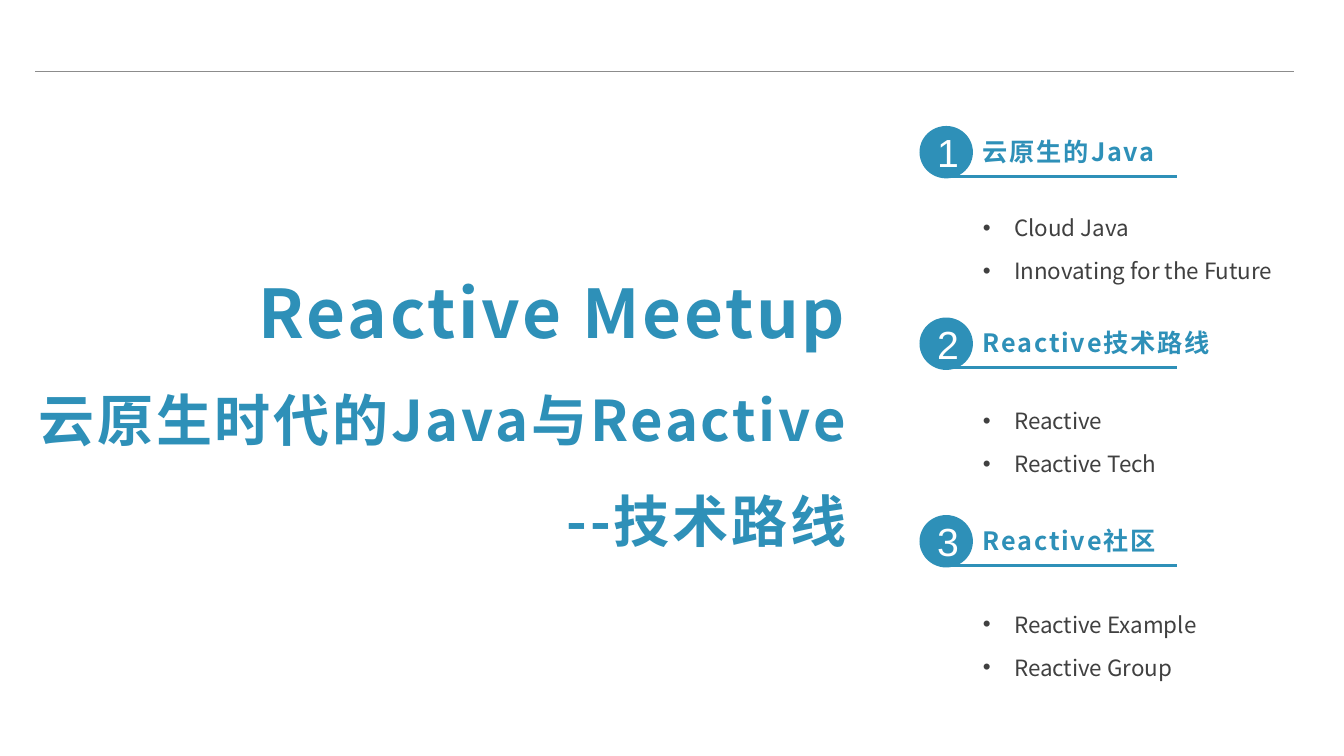
from dataclasses import dataclass

from lxml.etree import SubElement
from pptx import Presentation
from pptx.dml.color import RGBColor
from pptx.enum.shapes import MSO_CONNECTOR, MSO_SHAPE
from pptx.enum.text import MSO_ANCHOR, PP_ALIGN
from pptx.oxml.ns import qn
from pptx.slide import Slide
from pptx.text.text import TextFrame, _Paragraph
from pptx.util import Inches, Pt

COLORS = {"blue": "2E90B8", "text": "404040", "rule": "8C8C8C", "white": "FFFFFF"}
CJK_FONT = "Noto Sans CJK SC"


@dataclass
class TextStyle:
    size: float
    color: str
    font: str = CJK_FONT
    bold: bool = False
    spacing: float = 0
    align: PP_ALIGN = PP_ALIGN.LEFT
    line_spacing: float = 1.0


@dataclass
class Section:
    number: int
    top: float
    heading: str
    heading_width: float
    items: list[str]
    items_top: float


NUMBER = TextStyle(28, "white", font="Arial", align=PP_ALIGN.CENTER)
HEADING = TextStyle(18, "blue", bold=True, spacing=1.3)
ITEM = TextStyle(16, "text", line_spacing=1.6)
TITLE = TextStyle(48, "blue", bold=True, spacing=2,
                  align=PP_ALIGN.RIGHT, line_spacing=1.5)
SUBTITLE = TextStyle(40, "blue", bold=True, spacing=2,
                     align=PP_ALIGN.RIGHT, line_spacing=1.5)

TITLE_LINES = [
    ("Reactive Meetup", TITLE),
    ("云原生时代的Java与Reactive", SUBTITLE),
    ("--技术路线", SUBTITLE),
]
SECTIONS = [
    Section(1, 1.25, "云原生的Java", 2.02,
            ["Cloud Java", "Innovating for the Future"], 1.92),
    Section(2, 3.15, "Reactive技术路线", 2.87,
            ["Reactive", "Reactive Tech"], 3.83),
    Section(3, 5.11, "Reactive社区", 2.02,
            ["Reactive Example", "Reactive Group"], 5.85),
]


def rgb(name: str) -> RGBColor:
    return RGBColor.from_string(COLORS[name])


def apply_format(target: object, values: dict[str, object]) -> None:
    for name, value in values.items():
        setattr(target, name, value)


def add_bullet(para: _Paragraph) -> None:
    properties = para._p.get_or_add_pPr()
    properties.set("marL", str(Inches(0.31)))
    properties.set("indent", str(Inches(-0.31)))
    SubElement(properties, qn("a:buFont"), typeface="Arial")
    SubElement(properties, qn("a:buChar"), char="•")


def write_lines(frame: TextFrame, lines: list[tuple[str, TextStyle]],
                bullets: bool = False) -> None:
    for index, (text, style) in enumerate(lines):
        para = frame.add_paragraph() if index else frame.paragraphs[0]
        apply_format(para, {"alignment": style.align,
                            "line_spacing": style.line_spacing})
        if bullets:
            add_bullet(para)
        span = para.add_run()
        span.text = text
        apply_format(span.font, {"size": Pt(style.size), "bold": style.bold,
                                 "name": style.font})
        span.font.color.rgb = rgb(style.color)
        properties = span._r.get_or_add_rPr()
        SubElement(properties, qn("a:ea"), typeface=style.font)
        if style.spacing:
            properties.set("spc", str(round(style.spacing * 100)))


def add_text(page: Slide, left: float, top: float, width: float, height: float,
             lines: list[tuple[str, TextStyle]], bullets: bool = False) -> None:
    box = page.shapes.add_textbox(Inches(left), Inches(top),
                                  Inches(width), Inches(height))
    box.text_frame.word_wrap = True
    write_lines(box.text_frame, lines, bullets)


def add_rule(page: Slide, left: float, right: float, top: float,
             color: str, weight: float) -> None:
    rule = page.shapes.add_connector(MSO_CONNECTOR.STRAIGHT, Inches(left), Inches(top),
                                     Inches(right), Inches(top))
    rule.line.color.rgb = rgb(color)
    rule.line.width = Pt(weight)
    SubElement(rule._element.spPr, qn("a:effectLst"))


def add_badge(page: Slide, number: int, top: float) -> None:
    badge = page.shapes.add_shape(MSO_SHAPE.OVAL, Inches(9.12), Inches(top),
                                  Inches(0.53), Inches(0.52))
    badge.shadow.inherit = False
    badge.fill.solid()
    badge.fill.fore_color.rgb = rgb("blue")
    badge.line.fill.background()
    badge.text_frame.vertical_anchor = MSO_ANCHOR.MIDDLE
    write_lines(badge.text_frame, [(str(number), NUMBER)])


def add_section(page: Slide, section: Section) -> None:
    add_badge(page, section.number, section.top)
    add_rule(page, 9.34, 11.67, section.top + 0.5, "blue", 2.25)
    add_text(page, 9.65, section.top + 0.05, section.heading_width, 0.4,
             [(section.heading, HEADING)])
    add_text(page, 9.65, section.items_top, 3.19, 0.9,
             [(item, ITEM) for item in section.items], bullets=True)


def main() -> None:
    deck = Presentation()
    apply_format(deck, {"slide_width": Inches(13.33), "slide_height": Inches(7.5)})
    page = deck.slides.add_slide(deck.slide_layouts[6])

    # Header rule
    add_rule(page, 0.35, 12.83, 0.71, "rule", 1)

    # Talk title
    add_text(page, 0.19, 2.24, 8.3, 3.33, TITLE_LINES)

    # Numbered agenda
    for section in SECTIONS:
        add_section(page, section)

    deck.save("out.pptx")


if __name__ == "__main__":
    main()
